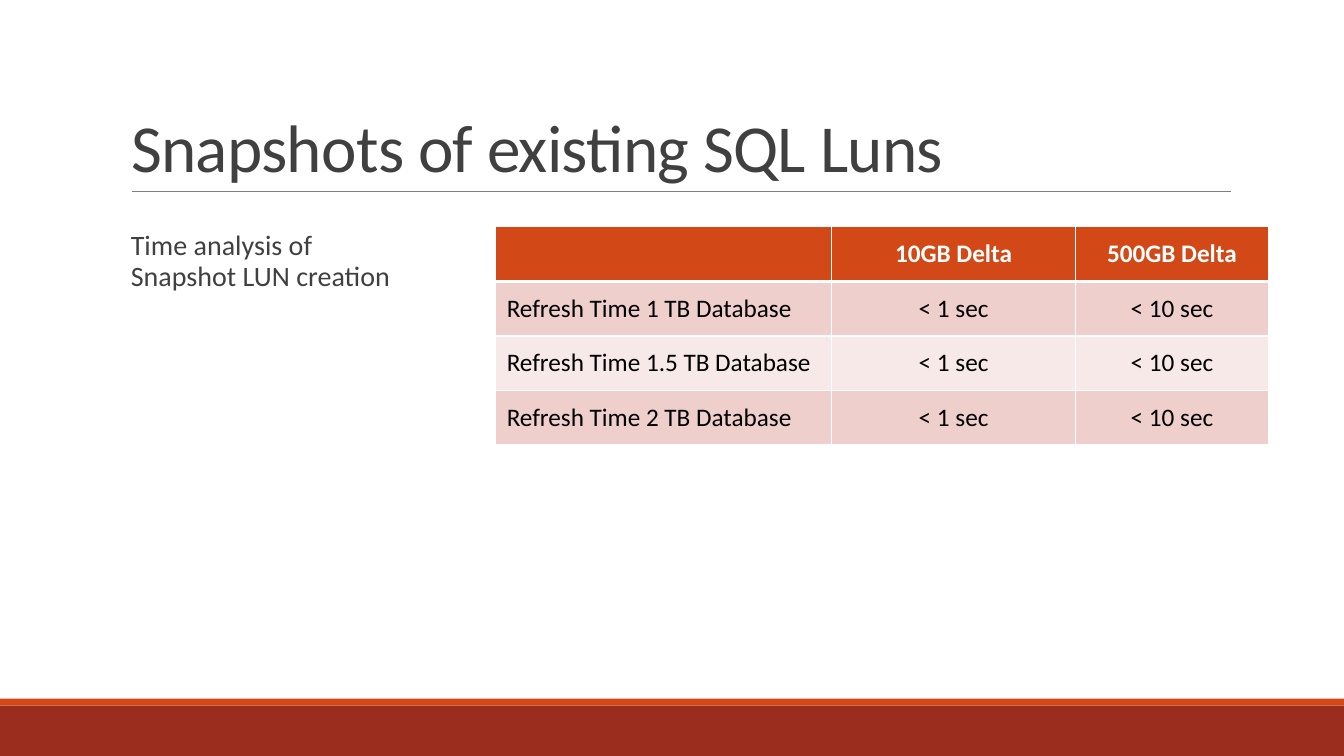
from lxml import etree
from pptx import Presentation
from pptx.dml.color import RGBColor
from pptx.enum.shapes import MSO_CONNECTOR as Link, MSO_SHAPE as Kind
from pptx.enum.text import MSO_ANCHOR as Anchor, MSO_AUTO_SIZE as Fit, PP_ALIGN as Align
from pptx.oxml import parse_xml
from pptx.oxml.ns import nsdecls, qn
from pptx.util import Pt

WIDE, HIGH = 960, 540
ORANGE, RUST, GREY, WHITE = "D34817", "9B2D1F", "404040", "FFFFFF"
BANDS = ["EFCFCC", "F7E9E8"]
COLS = [240, 174, 138]
ROWS = [
    ["", "10GB Delta", "500GB Delta"],
    ["Refresh Time 1 TB Database", "< 1 sec", "< 10 sec"],
    ["Refresh Time 1.5 TB Database", "< 1 sec", "< 10 sec"],
    ["Refresh Time 2 TB Database", "< 1 sec", "< 10 sec"],
]


def paint(color, tone):
    color.rgb = RGBColor.from_string(tone)


def style(par, size, tone, bold=False, align=Align.LEFT):
    par.alignment = align
    font = par.font
    font.name, font.size, font.bold = "Calibri", Pt(size), bold
    paint(font.color, tone)


def add_bar(slide, top, height, tone):
    bar = slide.shapes.add_shape(Kind.RECTANGLE, 0, Pt(top), Pt(WIDE), Pt(height))
    bar.shadow.inherit = False
    bar.fill.solid()
    paint(bar.fill.fore_color, tone)
    bar.line.fill.background()


def add_rule(slide, left, top, width):
    rule = slide.shapes.add_connector(
        Link.STRAIGHT, Pt(left), Pt(top), Pt(left + width), Pt(top))
    paint(rule.line.color, "808080")
    rule.line.width = Pt(0.5)
    etree.SubElement(rule.element.spPr, qn("a:effectLst"))


def set_title(slide, left, top, width, height, text):
    title = slide.shapes.title
    title.left, title.top = Pt(left), Pt(top)
    title.width, title.height = Pt(width), Pt(height)
    frame = title.text_frame
    frame.text = text
    frame.word_wrap, frame.auto_size = True, Fit.NONE
    frame.vertical_anchor = Anchor.BOTTOM
    par = frame.paragraphs[0]
    par.line_spacing = 0.85
    style(par, 48, GREY)
    par.runs[0].font._element.set("spc", "-50")


def add_note(slide, left, top, width, height, text):
    frame = slide.shapes.add_textbox(
        Pt(left), Pt(top), Pt(width), Pt(height)).text_frame
    frame.word_wrap = True
    frame.margin_left, frame.margin_right = Pt(7.2), 0
    par = frame.paragraphs[0]
    par.text = text
    par.line_spacing, par.space_after = 0.9, Pt(2)
    style(par, 20, GREY)


def edge(cell, top, bottom):
    """Draw white cell borders, with the top and bottom widths in points."""
    props = cell._tc.get_or_add_tcPr()
    sides = zip("LRTB", [1, 1, top, bottom])
    for spot, (side, width) in enumerate(sides):
        props.insert(spot, parse_xml(
            f'<a:ln{side} {nsdecls("a")} w="{Pt(width)}"><a:solidFill>'
            f'<a:srgbClr val="{WHITE}"/></a:solidFill></a:ln{side}>'))


def add_grid(slide, left, top, high):
    """Place the timing table, with rows of the given height."""
    grid = slide.shapes.add_table(
        len(ROWS), len(COLS), Pt(left), Pt(top),
        Pt(sum(COLS)), Pt(high * len(ROWS))).table
    for col, width in zip(grid.columns, COLS):
        col.width = Pt(width)
    for i, row in enumerate(ROWS):
        grid.rows[i].height = Pt(high)
        head = i == 0
        for j, text in enumerate(row):
            cell = grid.cell(i, j)
            cell.text = text
            cell.vertical_anchor = Anchor.MIDDLE
            cell.margin_left = cell.margin_right = Pt(7.8)
            cell.fill.solid()
            paint(cell.fill.fore_color, ORANGE if head else BANDS[(i - 1) % 2])
            edge(cell, 3 if i == 1 else 1, 3 if head else 1)
            style(cell.text_frame.paragraphs[0], 18, WHITE if head else "000000",
                  head, Align.CENTER if j else Align.LEFT)


def main():
    deck = Presentation()
    deck.slide_width, deck.slide_height = Pt(WIDE), Pt(HIGH)
    slide = deck.slides.add_slide(deck.slide_layouts[5])
    add_bar(slide, 504, 36, RUST)
    add_bar(slide, 499, 5, ORANGE)
    add_rule(slide, 94.3, 136.8, 784.8)
    set_title(slide, 86.4, 22.6, 792, 114.2, "Snapshots of existing SQL Luns")
    add_note(slide, 86.4, 162, 237.6, 78.5,
             "Time analysis of \vSnapshot LUN creation")
    add_grid(slide, 354.2, 162, 39)
    deck.save("out.pptx")


if __name__ == "__main__":
    main()
